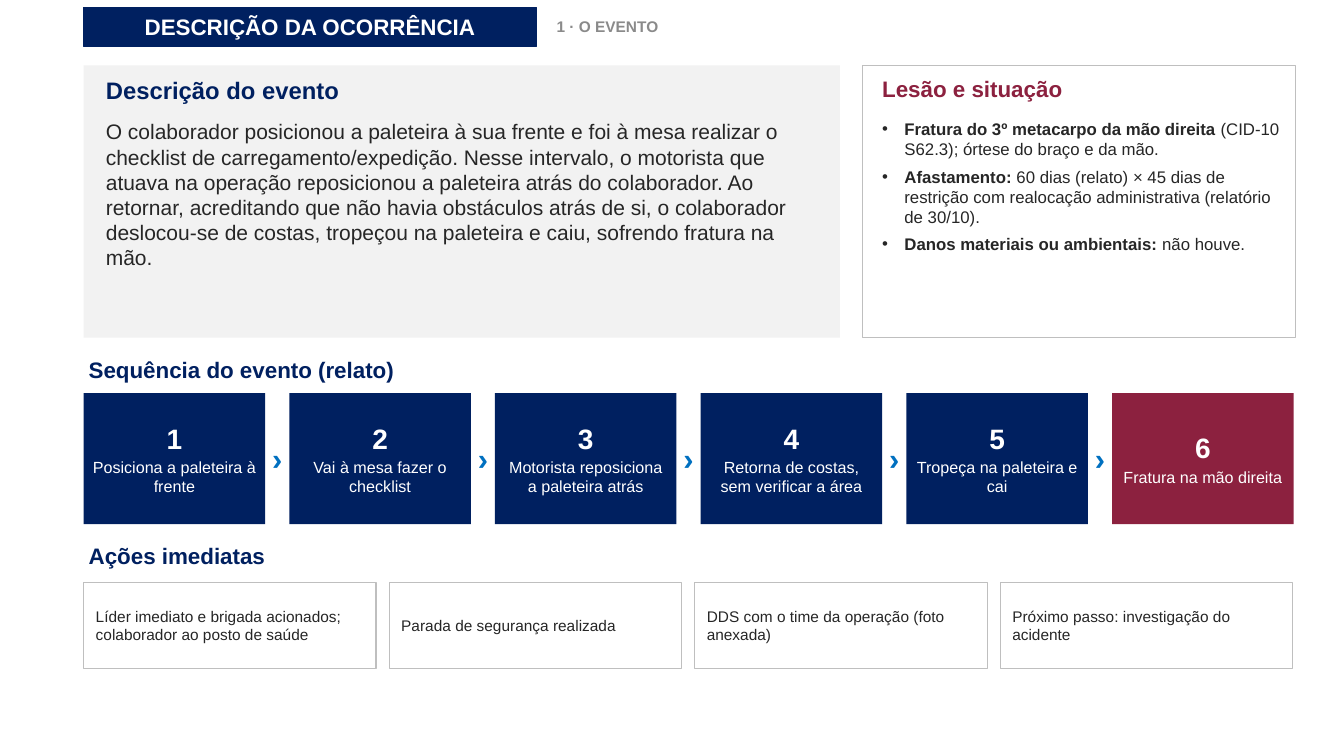
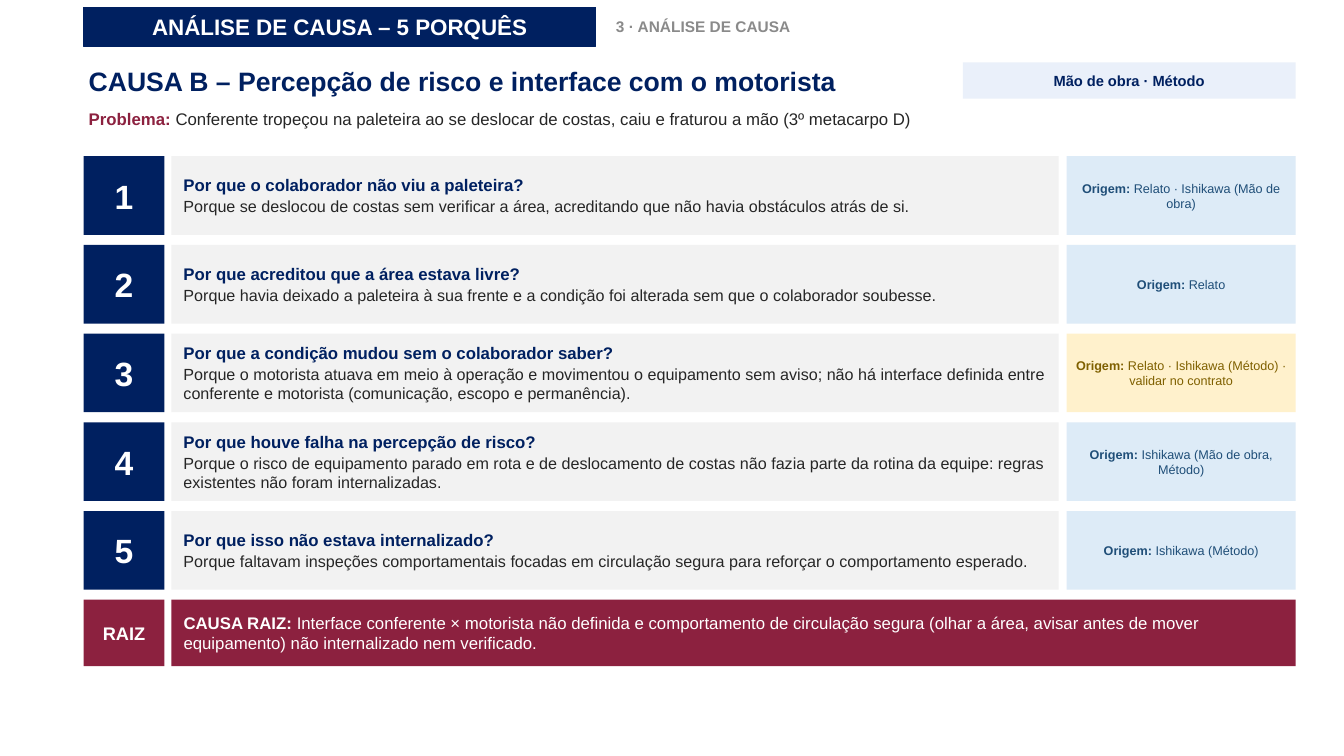
from lxml import etree
from pptx import Presentation
from pptx import util as u
from pptx.dml.color import RGBColor
from pptx.enum import shapes, text
from pptx.oxml import ns

PX = 9144
FONT = "Arial"
NAVY, WINE, INK, WHITE = "002060", "8C213F", "262626", "FFFFFF"
GRAY, PANEL, BORDER, CHEVRON = "8A8A8A", "F2F2F2", "BFBFBF", "0070C0"
TAG, BLUE, AMBER = "EAF0FA", ("DDEBF7", "1F4E78"), ("FFF1CC", "7F6000")

LEFT, RIGHT = 83, 1285
BAND_TOP, BAND_HEIGHT = 7, 39
TEXT_INSETS, SHAPE_INSETS, CARD_INSETS, CHEVRON_INSETS = (
    (5, 3, 5, 3), (8, 5, 8, 5), (12, 5, 8, 5), (0, 3, 0, 3))
CENTER, START = text.PP_ALIGN.CENTER, text.PP_ALIGN.LEFT
MIDDLE, TOP = text.MSO_ANCHOR.MIDDLE, text.MSO_ANCHOR.TOP

EVENT = (
    "O colaborador posicionou a paleteira à sua frente e foi à mesa realizar o checklist de "
    "carregamento/expedição. Nesse intervalo, o motorista que atuava na operação reposicionou a "
    "paleteira atrás do colaborador. Ao retornar, acreditando que não havia obstáculos atrás de si, "
    "o colaborador deslocou-se de costas, tropeçou na paleteira e caiu, sofrendo fratura na mão.")
INJURY = [
    ("Fratura do 3º metacarpo da mão direita ", "(CID-10 S62.3); órtese do braço e da mão."),
    ("Afastamento: ",
     "60 dias (relato) × 45 dias de restrição com realocação administrativa (relatório de 30/10)."),
    ("Danos materiais ou ambientais: ", "não houve."),
]
STEPS = [
    "Posiciona a paleteira à frente",
    "Vai à mesa fazer o checklist",
    "Motorista reposiciona a paleteira atrás",
    "Retorna de costas, sem verificar a área",
    "Tropeça na paleteira e cai",
    "Fratura na mão direita",
]
ACTIONS = [
    "Líder imediato e brigada acionados; colaborador ao posto de saúde",
    "Parada de segurança realizada",
    "DDS com o time da operação (foto anexada)",
    "Próximo passo: investigação do acidente",
]
PROBLEM = "Conferente tropeçou na paleteira ao se deslocar de costas, caiu e fraturou a mão (3º metacarpo D)"
WHYS = [
    ("Por que o colaborador não viu a paleteira?",
     "Porque se deslocou de costas sem verificar a área, acreditando que não havia obstáculos atrás de si.",
     "Relato · Ishikawa (Mão de obra)", BLUE),
    ("Por que acreditou que a área estava livre?",
     "Porque havia deixado a paleteira à sua frente e a condição foi alterada sem que o colaborador soubesse.",
     "Relato", BLUE),
    ("Por que a condição mudou sem o colaborador saber?",
     "Porque o motorista atuava em meio à operação e movimentou o equipamento sem aviso; não há interface "
     "definida entre conferente e motorista (comunicação, escopo e permanência).",
     "Relato · Ishikawa (Método) · validar no contrato", AMBER),
    ("Por que houve falha na percepção de risco?",
     "Porque o risco de equipamento parado em rota e de deslocamento de costas não fazia parte da rotina da "
     "equipe: regras existentes não foram internalizadas.",
     "Ishikawa (Mão de obra, Método)", BLUE),
    ("Por que isso não estava internalizado?",
     "Porque faltavam inspeções comportamentais focadas em circulação segura para reforçar o comportamento "
     "esperado.",
     "Ishikawa (Método)", BLUE),
]
ROOT_CAUSE = (
    "Interface conferente × motorista não definida e comportamento de circulação segura (olhar a área, "
    "avisar antes de mover equipamento) não internalizado nem verificado.")


def color(value):
    return RGBColor.from_string(value)


def px(*lengths):
    return [u.Emu(length * PX) for length in lengths]


def add_bullet(para):
    props = para._p.get_or_add_pPr()
    props.set("marL", str(22 * PX))
    props.set("indent", str(-22 * PX))
    etree.SubElement(props, ns.qn("a:buFont")).set("typeface", FONT)
    etree.SubElement(props, ns.qn("a:buChar")).set("char", "•")


def write(box, paras, insets, align, anchor, after, bullets=False):
    frame = box.text_frame
    frame.word_wrap = True
    frame.auto_size = text.MSO_AUTO_SIZE.NONE
    frame.vertical_anchor = anchor
    frame.margin_left, frame.margin_top, frame.margin_right, frame.margin_bottom = px(*insets)
    for index, spans in enumerate(paras):
        para = frame.add_paragraph() if index else frame.paragraphs[0]
        if bullets:
            add_bullet(para)
        para.alignment = align
        para.space_after = u.Pt(after)
        for words, size, ink, bold in spans:
            span = para.add_run()
            span.text = words
            span.font.name = FONT
            span.font.size = u.Pt(size)
            span.font.bold = bold
            span.font.color.rgb = color(ink)


def paint(box, fill, line=None):
    box.fill.solid()
    box.fill.fore_color.rgb = color(fill)
    if line:
        box.line.color.rgb = color(line)
        box.line.width = u.Pt(0.75)
    else:
        box.line.fill.background()


def add_block(page, at, fill, paras=(), line=None, insets=SHAPE_INSETS, align=CENTER, after=2):
    box = page.shapes.add_shape(shapes.MSO_SHAPE.RECTANGLE, *px(*at))
    box.shadow.inherit = False
    paint(box, fill, line)
    if paras:
        write(box, paras, insets, align, MIDDLE, after)


def add_text(page, at, paras, insets=TEXT_INSETS, align=START, anchor=TOP, after=4, bullets=False):
    write(page.shapes.add_textbox(*px(*at)), paras, insets, align, anchor, after, bullets)


def add_heading(page, at, words, size=16, ink=NAVY, anchor=TOP):
    add_text(page, at, [[(words, size, ink, True)]], anchor=anchor)


def add_page(deck, title, width, section):
    page = deck.slides.add_slide(deck.slide_layouts[5])
    band = page.shapes.title
    band.left, band.top, band.width, band.height = px(LEFT, BAND_TOP, width, BAND_HEIGHT)
    paint(band, NAVY, NAVY)
    write(band, [[(title, 16, WHITE, True)]], SHAPE_INSETS, CENTER, MIDDLE, 2)
    add_heading(page, (LEFT + width + 15, BAND_TOP, 300, BAND_HEIGHT), section, 11, GRAY, MIDDLE)
    return page


def build_event(deck):
    page = add_page(deck, "DESCRIÇÃO DA OCORRÊNCIA", 449, "1 · O EVENTO")

    add_block(page, (LEFT, 65, 750, 270), PANEL)
    add_heading(page, (100, 72, 720, 40), "Descrição do evento", 17)
    add_text(page, (100, 115, 720, 215), [[(EVENT, 15, INK, False)]])

    add_block(page, (855, 65, 430, 270), WHITE, line=BORDER)
    add_heading(page, (870, 72, 400, 40), "Lesão e situação", ink=WINE)
    items = [[(label, 12, INK, True), (detail, 12, INK, False)] for label, detail in INJURY]
    add_text(page, (870, 115, 405, 215), items, after=5, bullets=True)

    add_heading(page, (LEFT, 350, 800, 35), "Sequência do evento (relato)")
    width, gap = 180, 24
    for index, step in enumerate(STEPS):
        left = LEFT + index * (width + gap)
        last = index == len(STEPS) - 1
        paras = [[(str(index + 1), 20, WHITE, True)], [(step, 11.5, WHITE, False)]]
        add_block(page, (left, 390, width, 130), WINE if last else NAVY, paras)
        if not last:
            add_text(page, (left + width, 430, gap, 50), [[("›", 22, CHEVRON, True)]],
                     CHEVRON_INSETS, CENTER, MIDDLE)

    add_heading(page, (LEFT, 535, 800, 35), "Ações imediatas")
    width, gap = 290, 13
    for index, action in enumerate(ACTIONS):
        add_block(page, (LEFT + index * (width + gap), 578, width, 85), WHITE,
                  [[(action, 11, INK, False)]], BORDER, CARD_INSETS, START)


def build_whys(deck):
    page = add_page(deck, "ANÁLISE DE CAUSA – 5 PORQUÊS", 508, "3 · ANÁLISE DE CAUSA")
    add_heading(page, (LEFT, 55, 860, 50),
                "CAUSA B – Percepção de risco e interface com o motorista", 19, anchor=MIDDLE)
    add_block(page, (955, 62, 330, 36), TAG, [[("Mão de obra · Método", 10.5, NAVY, True)]])
    add_text(page, (LEFT, 105, 1200, 40),
             [[("Problema: ", 12, WINE, True), (PROBLEM, 12, INK, False)]])

    first, height, pitch = 155, 78, 88
    number_width, answer_left, answer_width, origin_left = 80, 170, 880, 1058
    for index, (question, answer, origin, (fill, ink)) in enumerate(WHYS):
        top = first + index * pitch
        add_block(page, (LEFT, top, number_width, height), NAVY,
                  [[(str(index + 1), 24, WHITE, True)]])
        add_block(page, (answer_left, top, answer_width, height), PANEL,
                  [[(question, 12, NAVY, True)], [(answer, 11.5, INK, False)]],
                  insets=CARD_INSETS, align=START, after=1)
        add_block(page, (origin_left, top, RIGHT - origin_left, height), fill,
                  [[("Origem: ", 9, ink, True), (origin, 9, ink, False)]])

    top, height = first + len(WHYS) * pitch, 66
    add_block(page, (LEFT, top, number_width, height), WINE, [[("RAIZ", 13, WHITE, True)]])
    add_block(page, (answer_left, top, RIGHT - answer_left, height), WINE,
              [[("CAUSA RAIZ: ", 12, WHITE, True), (ROOT_CAUSE, 12, WHITE, False)]],
              insets=CARD_INSETS, align=START)


def main():
    deck = Presentation()
    deck.slide_width, deck.slide_height = px(1333, 750)
    build_event(deck)
    build_whys(deck)
    deck.save("out.pptx")


if __name__ == "__main__":
    main()
